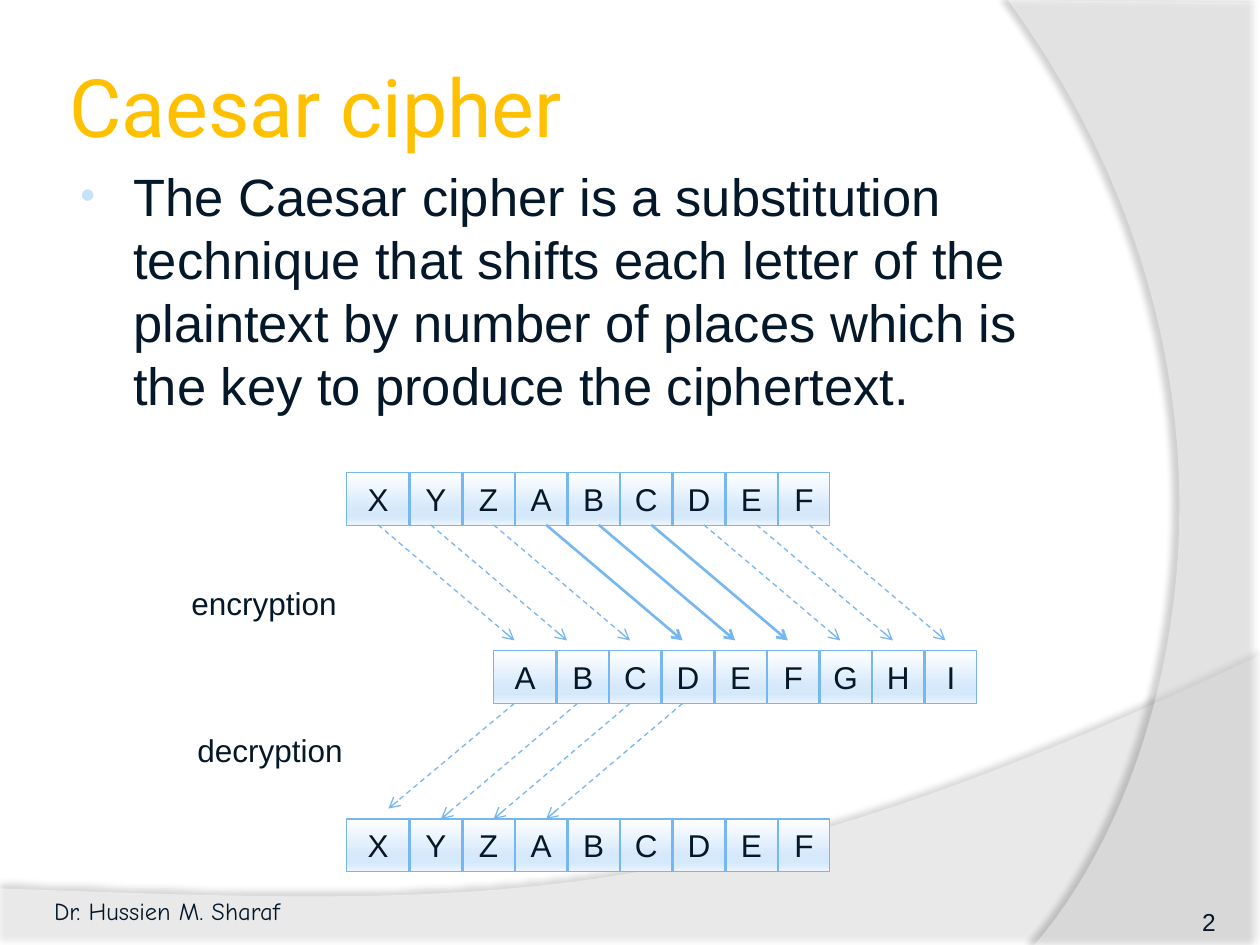
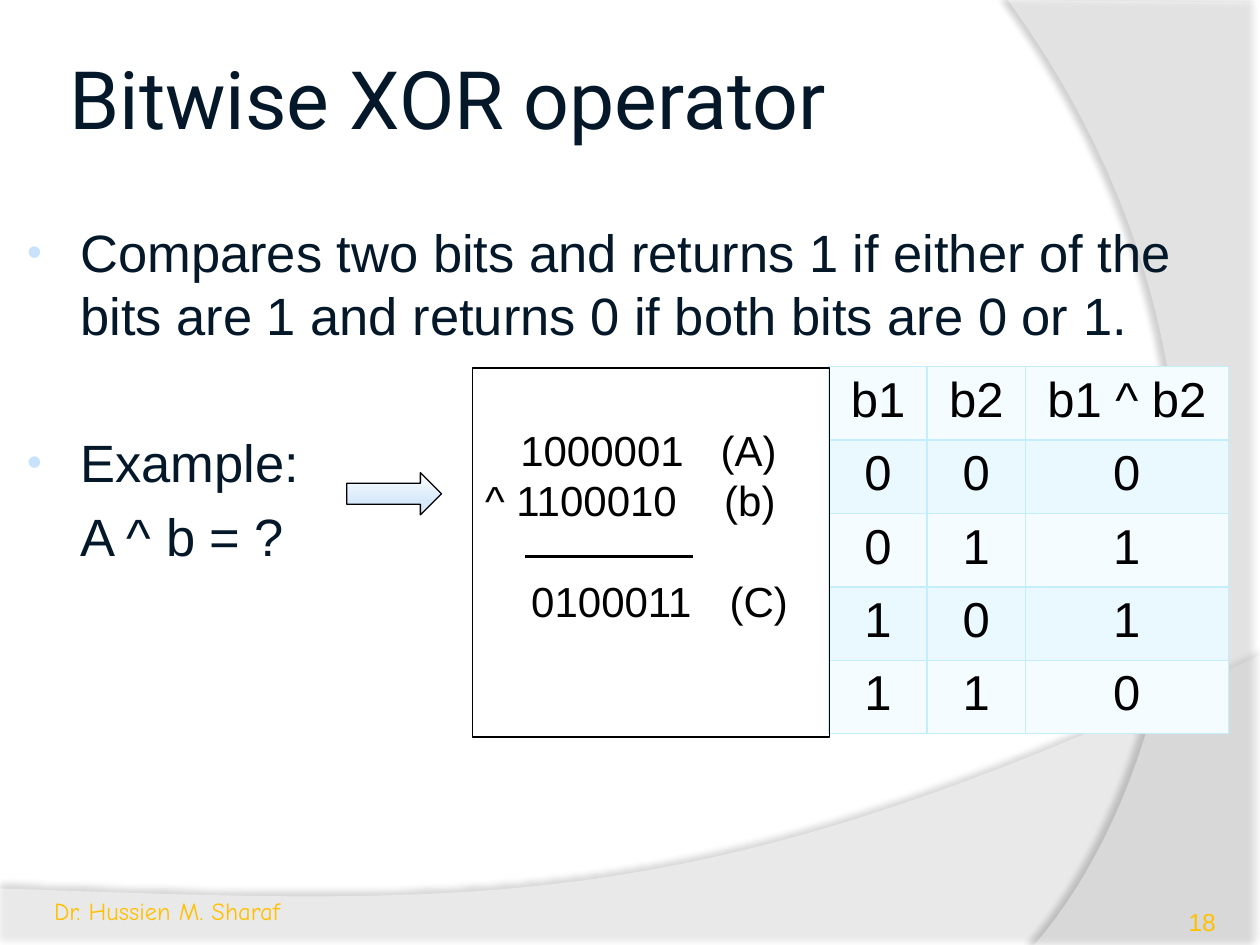
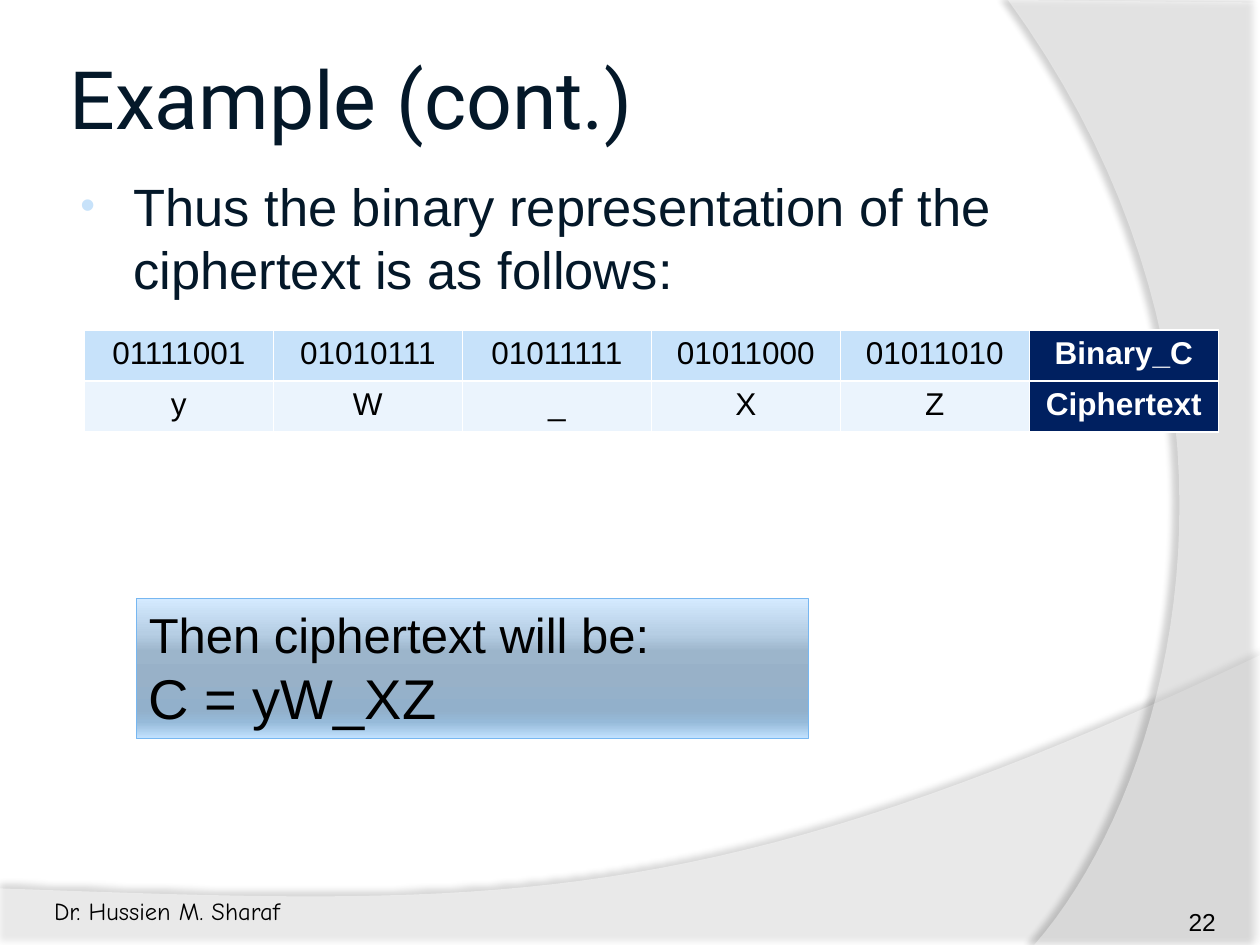
from lxml import etree
from pptx import Presentation
from pptx.dml.color import RGBColor
from pptx.enum import dml, shapes, text
from pptx.oxml import ns
from pptx.util import Cm, Pt

INK = RGBColor(0x04, 0x18, 0x29)
GOLD = RGBColor(0xFF, 0xC0, 0x00)
BLACK = RGBColor(0x00, 0x00, 0x00)
WHITE = RGBColor(0xFF, 0xFF, 0xFF)
SKY = RGBColor(0x77, 0xB7, 0xF1)
PALE = RGBColor(0xC7, 0xE2, 0xFA)
MIST = RGBColor(0xEB, 0xF4, 0xFD)
NAVY = RGBColor(0x00, 0x20, 0x60)
ICE = RGBColor(0xF5, 0xFC, 0xFF)
FROST = RGBColor(0xEA, 0xF8, 0xFF)
GRID = RGBColor(0xC4, 0xEE, 0xFE)
GLASS = [(0, "FFFFFF"), (68, "D6E9FB"), (81, "D4E8FB"), (86, "D8EAFB"), (100, "EDF5FD")]
STEEL = [(0, "D4EAFF"), (25, "B6CEE4"), (38, "9CB5CB"), (55, "98B1C8"),
         (80, "92B0CB"), (88, "96BAD9"), (100, "C2E2FF")]
LEFT, CENTER, RIGHT = text.PP_ALIGN.LEFT, text.PP_ALIGN.CENTER, text.PP_ALIGN.RIGHT
TOP, MIDDLE = text.MSO_ANCHOR.TOP, text.MSO_ANCHOR.MIDDLE


def write(tf, words, size=18, color=INK, font="Arial", bold=False, align=LEFT,
          before=0, indent=0, bullet=False, tabs=(), tab_align="l"):
    p = tf.add_paragraph() if tf.text else tf.paragraphs[0]
    p.alignment = align
    if before:
        p.space_before = Pt(before)
    pPr = p._p.get_or_add_pPr()
    if indent:
        pPr.set("marL", str(Cm(indent)))
        pPr.set("indent", str(Cm(-1.07) if bullet else 0))
    if bullet:
        clr = etree.SubElement(pPr, ns.qn("a:buClr"))
        etree.SubElement(clr, ns.qn("a:srgbClr"), val=str(PALE))
        etree.SubElement(pPr, ns.qn("a:buSzPct"), val="80000")
        etree.SubElement(pPr, ns.qn("a:buFont"), typeface="Arial")
        etree.SubElement(pPr, ns.qn("a:buChar"), char="•")
    if tabs:
        lst = etree.SubElement(pPr, ns.qn("a:tabLst"))
        for pos in tabs:
            etree.SubElement(lst, ns.qn("a:tab"), pos=str(Cm(pos)), algn=tab_align)
    r = p.add_run()
    r.text = words
    r.font.size, r.font.name, r.font.bold = Pt(size), font, bold
    r.font.color.rgb = color


def draw_line(s, x1, y1, x2, y2, color=SKY, width=1.5, dashed=False, arrow=False):
    c = s.shapes.add_connector(shapes.MSO_CONNECTOR.STRAIGHT, Cm(x1), Cm(y1), Cm(x2), Cm(y2))
    c.line.color.rgb = color
    c.line.width = Pt(width)
    if dashed:
        c.line.dash_style = dml.MSO_LINE.DASH
    if arrow:
        etree.SubElement(c.line._get_or_add_ln(), ns.qn("a:tailEnd"), type="arrow")
    etree.SubElement(c._element.spPr, ns.qn("a:effectLst"))


prs = Presentation()
prs.slide_width, prs.slide_height = Cm(25.4), Cm(19.05)

# start, straight corners, then the curve's control points; opacity and shadow follow
waves = [
    ([(0, 17.91), (0, 19.08), (25.4, 19.08)],
     [(25.4, 13.21), (14.2, 18.52), (9.93, 18.26), (0, 17.91)], 45, 35, 3.5, 270),
    ([(20.32, 0), (25.4, 0.05), (25.4, 19.05)],
     [(20.85, 19.05), (23.75, 15.72), (25.86, 7.62), (20.32, 0)], 40, 45, 4, 180),
]
pages = [
    ("Caesar cipher", GOLD, (1.27, 0.64, 20.75, 2.97), (1.27, 3.18, 20.75, 13.84), INK, "2",
     [("The Caesar cipher is a substitution technique that shifts each letter of the "
       "plaintext by number of places which is the key to produce the ciphertext.", 0, True)]),
    ("Bitwise XOR operator", INK, (1.27, 0, 20.75, 3.94), (0.2, 4.32, 23.93, 13.64), GOLD, "18",
     [("Compares two bits and returns 1 if either of the bits are 1 and returns 0 "
       "if both bits are 0 or 1.", 0, True),
      ("Example:", 48, True),
      ("A ^ b = ?", 6, False)]),
    ("Example (cont.)", INK, (1.27, 0, 20.75, 3.94), (1.27, 3.38, 20.75, 13.64), BLACK, "22",
     [("Thus the binary representation of the ciphertext is as follows:", 0, True)]),
]

for title, title_color, title_box, body_box, foot_color, number, points in pages:
    s = prs.slides.add_slide(prs.slide_layouts[6])
    for corners, (a, b, c, d), opacity, shade, dist, angle in waves:
        curve = []
        for i in range(41):
            t = i / 40
            curve.append(tuple((1 - t) ** 3 * a[k] + 3 * t * (1 - t) ** 2 * b[k]
                               + 3 * t * t * (1 - t) * c[k] + t ** 3 * d[k] for k in (0, 1)))
        outline = [(Cm(x), Cm(y)) for x, y in corners + curve]
        fb = s.shapes.build_freeform(*outline[0])
        fb.add_line_segments(outline[1:], close=True)
        sp = fb.convert_to_shape()
        sp.shadow.inherit = False
        sp.line.fill.background()
        sp.fill.solid()
        sp.fill.fore_color.rgb = WHITE
        clr = sp._element.spPr.find(".//" + ns.qn("a:srgbClr"))
        etree.SubElement(clr, ns.qn("a:alpha"), val=str(opacity * 1000))
        effects = sp._element.spPr.find(ns.qn("a:effectLst"))
        shadow = etree.SubElement(effects, ns.qn("a:outerShdw"), blurRad=str(Pt(4)),
                                  dist=str(Pt(dist)), dir=str(angle * 60000),
                                  algn="ctr", rotWithShape="0")
        clr = etree.SubElement(shadow, ns.qn("a:srgbClr"), val=str(BLACK))
        etree.SubElement(clr, ns.qn("a:alpha"), val=str(shade * 1000))

    frames = []
    for box in (title_box, body_box, (0.84, 17.93, 6.99, 0.81), (22.66, 18.16, 2.1, 0.69)):
        tf = s.shapes.add_textbox(*map(Cm, box)).text_frame
        tf.word_wrap = True
        frames.append(tf)
    title_tf, body_tf, foot_tf, number_tf = frames
    title_tf.vertical_anchor = MIDDLE
    title_tf.margin_left = title_tf.margin_right = Cm(0.13)
    write(title_tf, title, size=46, color=title_color, font="Roboto")
    for words, before, bullet in points:
        write(body_tf, words, size=30, before=before, indent=1.17, bullet=bullet)
    write(foot_tf, "Dr. Hussien M. Sharaf", size=14, color=foot_color, font="Comic Neue")
    write(number_tf, number, size=14, color=foot_color, align=RIGHT)

caesar, xor, example = prs.slides

FIRST, CELL, HEIGHT = 1.27, 1.06, 1.06
centers = [FIRST / 2] + [FIRST + CELL * (i + 0.5) for i in range(8)]
panels = []
for left, top, letters in [(6.99, 9.53, "XYZABCDEF"), (9.95, 13.12, "ABCDEFGHI"),
                           (6.99, 16.51, "XYZABCDEF")]:
    sp = caesar.shapes.add_shape(shapes.MSO_SHAPE.RECTANGLE, Cm(left), Cm(top), Cm(9.73), Cm(HEIGHT))
    panels.append((sp, GLASS, SKY))
    tf = sp.text_frame
    tf.margin_left = tf.margin_right = 0
    tf.vertical_anchor = MIDDLE
    write(tf, "".join("\t" + letter for letter in letters), tabs=centers, tab_align="ctr")
    for i in range(8):
        x = left + FIRST + CELL * i
        draw_line(caesar, x, top, x, top + HEIGHT)

for i, x in enumerate([7.62, 8.68] + [9.95 + CELL * n for n in range(7)]):
    key = i in (3, 4, 5)
    draw_line(caesar, x, 10.58, x + 2.75, 12.91, width=1.5 if key else 0.75,
              dashed=not key, arrow=True)
for x1, x2, y2 in [(10.37, 7.83, 16.3), (11.64, 8.89, 16.51), (12.7, 9.95, 16.51),
                   (13.76, 11.01, 16.51)]:
    draw_line(caesar, x1, 14.18, x2, y2, width=0.75, dashed=True, arrow=True)
for words, left, top in [("encryption", 3.61, 11.64), ("decryption", 3.73, 14.61)]:
    tf = caesar.shapes.add_textbox(Cm(left), Cm(top), Cm(3.48), Cm(1.02)).text_frame
    tf.word_wrap = False
    write(tf, words)

tables = [
    (xor, 16.71, 7.39, [1.98, 1.98, 4.09], 1.48, 28, GRID,
     [["b1", "b2", "b1 ^ b2"], "000", "011", "101", "110"], [ICE, FROST], None),
    (example, 1.7, 6.65, [3.81] * 6, 1.03, 18, WHITE,
     [["01111001", "01010111", "01011111", "01011000", "01011010", "Binary_C"],
      ["y", "W", "_", "X", "Z", "Ciphertext"]], [PALE, MIST], 5),
]
for s, left, top, widths, row_height, size, border, rows, bands, head_col in tables:
    tbl = s.shapes.add_table(len(rows), len(widths), Cm(left), Cm(top), Cm(sum(widths)),
                             Cm(row_height * len(rows))).table
    for j, width in enumerate(widths):
        tbl.columns[j].width = Cm(width)
    for i, row in enumerate(rows):
        tbl.rows[i].height = Cm(row_height)
        for j, words in enumerate(row):
            cell = tbl.cell(i, j)
            head = j == head_col
            write(cell.text_frame, words, size=size, color=WHITE if head else BLACK,
                  bold=head, align=CENTER)
            tcPr = cell._tc.get_or_add_tcPr()
            for side in ("lnL", "lnR", "lnT", "lnB"):
                ln = etree.SubElement(tcPr, ns.qn("a:" + side), w=str(Pt(1)))
                solid = etree.SubElement(ln, ns.qn("a:solidFill"))
                etree.SubElement(solid, ns.qn("a:srgbClr"), val=str(border))
            cell.fill.solid()
            cell.fill.fore_color.rgb = NAVY if head else bands[i % 2]

sp = xor.shapes.add_shape(shapes.MSO_SHAPE.RECTANGLE, Cm(9.53), Cm(7.42), Cm(7.19), Cm(7.44))
panels.append((sp, None, BLACK))
tf = sp.text_frame
tf.vertical_anchor = TOP
tf.margin_top = Cm(1.14)
for words, before, tabs in [("\t1000001\t(A)", 0, (0.71, 4.75)), ("^ 1100010\t(b)", 0, (4.82,)),
                            ("\t0100011\t(C)", 28.8, (0.93, 4.93))]:
    write(tf, words, size=24, color=BLACK, before=before, tabs=tabs)
sp = xor.shapes.add_shape(shapes.MSO_SHAPE.RIGHT_ARROW, Cm(6.99), Cm(9.53), Cm(1.91), Cm(0.85))
panels.append((sp, GLASS, BLACK))
draw_line(xor, 13.97, 11.22, 10.58, 11.22, color=BLACK)

sp = example.shapes.add_shape(shapes.MSO_SHAPE.RECTANGLE, Cm(2.75), Cm(12.07), Cm(13.55), Cm(2.82))
panels.append((sp, STEEL, SKY))
sp.text_frame.vertical_anchor = TOP
write(sp.text_frame, "Then ciphertext will be:", size=28, color=BLACK)
write(sp.text_frame, "C = yW_XZ", size=32, color=BLACK)

for sp, stops, outline in panels:
    sp.shadow.inherit = False
    sp.line.color.rgb = outline
    sp.line.width = Pt(0.75)
    if stops is None:
        sp.fill.background()
        continue
    sp.fill.gradient()
    sp.fill.gradient_angle = 270
    gs_lst = sp._element.spPr.find(".//" + ns.qn("a:gsLst"))
    for gs in list(gs_lst):
        gs_lst.remove(gs)
    for pos, color in stops:
        gs = etree.SubElement(gs_lst, ns.qn("a:gs"), pos=str(pos * 1000))
        etree.SubElement(gs, ns.qn("a:srgbClr"), val=color)

prs.save("out.pptx")
